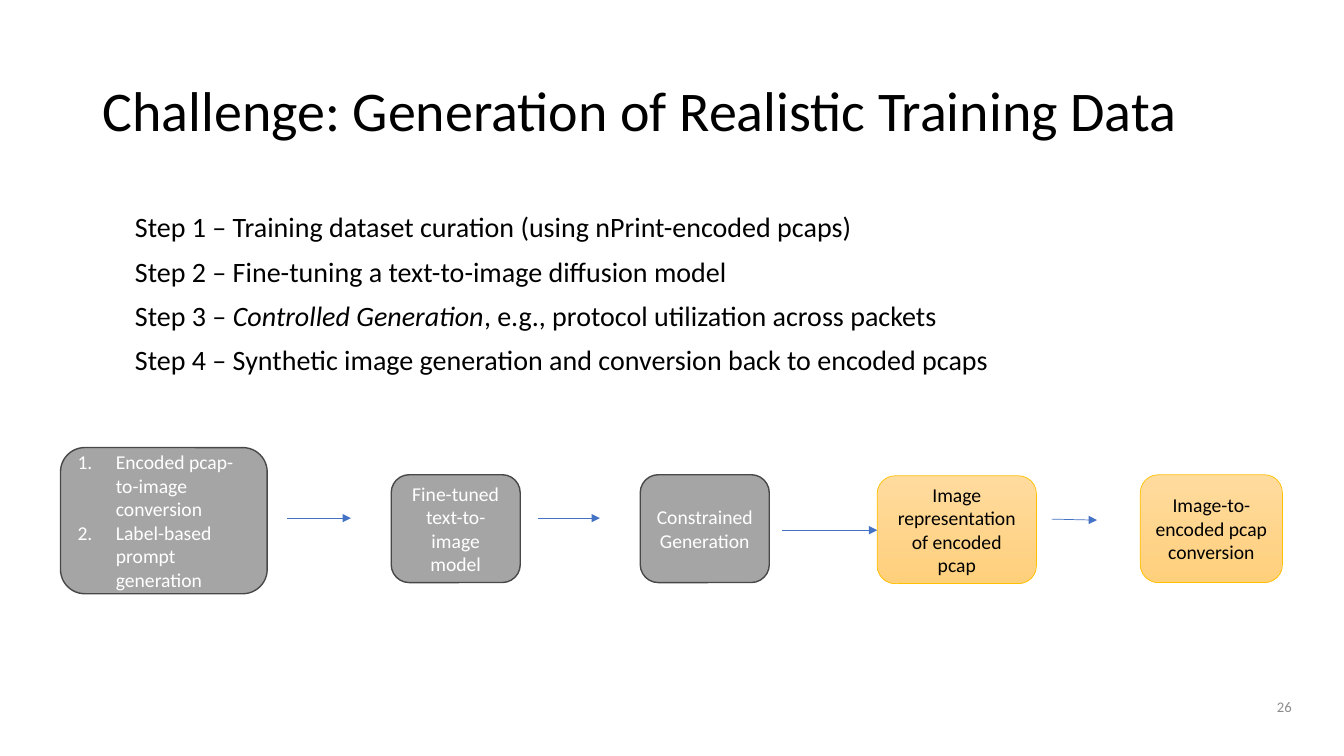
import pptx
import pptx.util
import pptx.dml.color
import pptx.enum.shapes
import pptx.enum.text
import pptx.oxml.ns
from lxml import etree

Inches = pptx.util.Inches
Pt = pptx.util.Pt
ALIGN = pptx.enum.text.PP_ALIGN
ANCHOR = pptx.enum.text.MSO_ANCHOR
GREY = dict(fill="A5A5A5", line="484848", weight=1, color="FFFFFF")
GOLD = dict(fill=("FFDB9E", "FFD07C"), line="FFC000", weight=0.5, color="000000")

STEPS = [
    ["Step 1 – Training dataset curation (using nPrint-encoded pcaps)"],
    ["Step 2 – Fine-tuning a text-to-image diffusion model"],
    ["Step 3 – ", "*Controlled Generation", ", e.g., protocol utilization across packets"],
    ["Step 4 – Synthetic image generation and conversion back to encoded pcaps"],
]
STAGES = [
    ((0.6, 4.44, 2.05, 1.45),
     [["Encoded pcap-to-image conversion"], ["Label-based prompt generation"]], GREY, True),
    ((3.88, 4.71, 1.28, 1.07), [["Fine-tuned text-to-image model"]], GREY, False),
    ((6.35, 4.71, 1.28, 1.07), [["Constrained Generation"]], GREY, False),
    ((8.7, 4.72, 1.58, 1.07), [["Image representation of encoded pcap"]], GOLD, False),
    ((11.31, 4.71, 1.41, 1.07), [["Image-to-encoded pcap conversion"]], GOLD, False),
]
ARROWS = [
    (2.85, 5.14, 3.48, 5.14),
    (5.34, 5.14, 5.95, 5.14),
    (7.76, 5.26, 8.7, 5.26),
    (10.43, 5.15, 10.88, 5.16),
]


def rgb(value):
    return pptx.dml.color.RGBColor.from_string(value)


def add_child(parent, tag, **attributes):
    return etree.SubElement(parent, pptx.oxml.ns.qn(tag), **attributes)


def number_paragraph(para):
    properties = para._p.get_or_add_pPr()
    indent = Inches(0.38)
    properties.set("marL", str(indent))
    properties.set("indent", str(-indent))
    add_child(properties, "a:buFont", typeface="+mj-lt")
    add_child(properties, "a:buAutoNum", type="arabicPeriod")


def write_text(box, paragraphs, size, color="000000", align=ALIGN.LEFT,
               anchor=ANCHOR.MIDDLE, spacing=None, before=0, numbered=False):
    frame = box.text_frame
    frame.word_wrap = True
    frame.vertical_anchor = anchor
    for index, pieces in enumerate(paragraphs):
        para = frame.add_paragraph() if index else frame.paragraphs[0]
        para.alignment = align
        if spacing:
            para.line_spacing = spacing
        if index and before:
            para.space_before = Pt(before)
        if numbered:
            number_paragraph(para)
        for piece in pieces:
            span = para.add_run()
            span.text = piece.lstrip("*")
            span.font.name = "Calibri"
            span.font.size = Pt(size)
            span.font.color.rgb = rgb(color)
            span.font.italic = piece.startswith("*")


def add_text(page, place, paragraphs, size, **text_format):
    box = page.shapes.add_textbox(*map(Inches, place))
    write_text(box, paragraphs, size, **text_format)


def add_stage(page, place, paragraphs, style, numbered):
    rounded = pptx.enum.shapes.MSO_SHAPE.ROUNDED_RECTANGLE
    box = page.shapes.add_shape(rounded, *map(Inches, place))
    box.shadow.inherit = False
    if isinstance(style["fill"], tuple):
        box.fill.gradient()
        box.fill.gradient_angle = 270
        for stop, color in zip(box.fill.gradient_stops, style["fill"]):
            stop.color.rgb = rgb(color)
    else:
        box.fill.solid()
        box.fill.fore_color.rgb = rgb(style["fill"])
    box.line.color.rgb = rgb(style["line"])
    box.line.width = Pt(style["weight"])
    write_text(box, paragraphs, 14, color=style["color"], numbered=numbered,
               align=ALIGN.LEFT if numbered else ALIGN.CENTER)


def add_arrow(page, ends):
    straight = pptx.enum.shapes.MSO_CONNECTOR.STRAIGHT
    arrow = page.shapes.add_connector(straight, *map(Inches, ends))
    arrow.line.color.rgb = rgb("4472C4")
    arrow.line.width = Pt(0.5)
    add_child(arrow.line._get_or_add_ln(), "a:tailEnd", type="triangle")
    add_child(arrow._element.spPr, "a:effectLst")


def main():
    deck = pptx.Presentation()
    deck.slide_width = Inches(13.33)
    deck.slide_height = Inches(7.5)
    page = deck.slides.add_slide(deck.slide_layouts[6])
    add_text(page, (0.92, 0.4, 11.5, 1.45),
             [["Challenge: Generation of Realistic Training Data"]], 40, spacing=0.9)
    add_text(page, (1.24, 2.07, 11.5, 1.68), STEPS, 20,
             anchor=ANCHOR.TOP, spacing=0.9, before=10)
    for stage in STAGES:
        add_stage(page, *stage)
    for ends in ARROWS:
        add_arrow(page, ends)
    add_text(page, (10.62, 6.85, 2.29, 0.33), [["26"]], 10.5,
             color="8C8C8C", align=ALIGN.RIGHT)
    deck.save("out.pptx")


if __name__ == "__main__":
    main()
